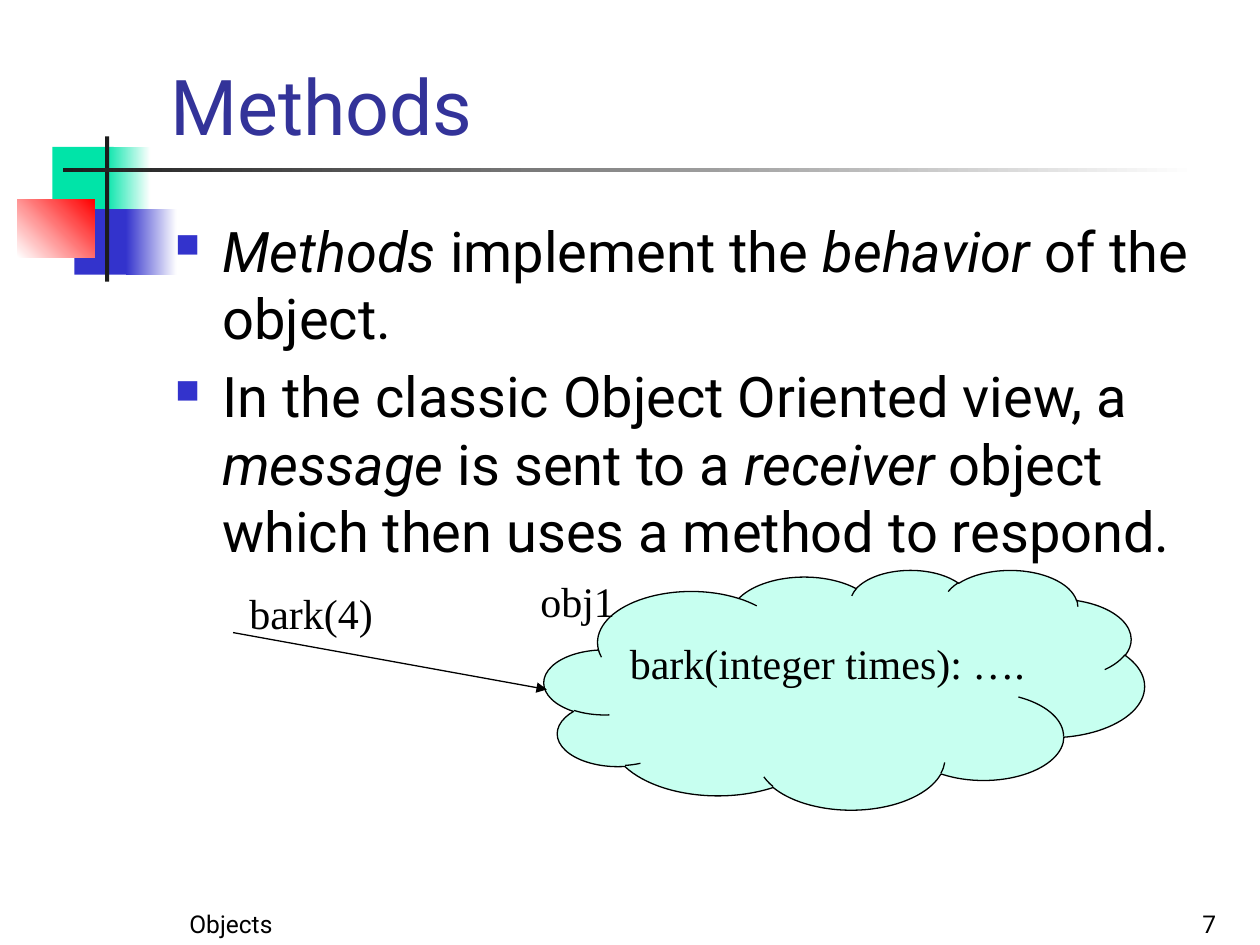
from lxml.etree import SubElement
from pptx import Presentation
from pptx.dml.color import RGBColor
from pptx.enum.shapes import MSO_CONNECTOR as CONN, MSO_SHAPE as SHAPE
from pptx.enum.text import MSO_ANCHOR as ANCHOR, MSO_AUTO_SIZE as AUTO, PP_ALIGN as ALIGN
from pptx.oxml.ns import qn
from pptx.util import Pt

# Content
TITLE = "Methods"
BULLETS = [  # runs of (text, italic)
    [("Methods", True), (" implement the ", False), ("behavior", True),
     (" of the object.", False)],
    [("In the classic Object Oriented view, a ", False), ("message", True),
     (" is sent to a ", False), ("receiver", True),
     (" object which then uses a method to respond.", False)],
]
LABELS = [  # text, box
    ("bark(4)", (135.4, 332, 86, 36)),
    ("bark(integer times): ….", (352.8, 361, 243, 36)),
    ("obj1", (301.7, 325.5, 58, 36)),
]
FOOTERS = [  # text, box, alignment
    ("Objects", (18, 504, 228, 36), ALIGN.CENTER),
    ("7", (552, 504, 150, 36), ALIGN.RIGHT),
]


class Theme:
    sans, serif = "Roboto", "Times New Roman"
    title_size, body_size, label_size, footer_size = 44, 32, 24, 14
    title, text, bullet, cloud = "333399", "000000", "3333CC", "C7FFF0"
    green, blue, red, dark, white = "00E4A8", "3333CC", "FF0000", "1C1C1C", "FFFFFF"


# Corner ornament: box, colours (two make a gradient), angle
ORNAMENT = [
    ((30, 84, 35, 37.5), (Theme.green,), 0),
    ((60, 84, 26, 37.5), (Theme.green, Theme.white), 0),
    ((42.5, 119.5, 33, 37.5), (Theme.blue,), 0),
    ((72, 119.5, 29, 37.5), (Theme.blue, Theme.white), 0),
    ((10, 113.8, 44, 33.2), (Theme.white, Theme.red), 45),
    ((60, 78, 2.4, 83), (Theme.dark,), 0),
    ((36, 96, 648, 2.2), (Theme.dark, Theme.white), 0),
]


def rgb(value):
    return RGBColor.from_string(value)


def add_shape(kind, box, colors, angle=0, line=None):
    s = slide.shapes.add_shape(kind, *map(Pt, box))
    s.shadow.inherit = False
    if len(colors) == 1:
        s.fill.solid()
        s.fill.fore_color.rgb = rgb(colors[0])
    else:
        s.fill.gradient()
        s.fill.gradient_angle = angle
        for stop, color in zip(s.fill.gradient_stops, colors):
            stop.color.rgb = rgb(color)
    if line:
        s.line.color.rgb = rgb(line)
        s.line.width = Pt(0.75)
    else:
        s.line.fill.background()
    return s


def add_run(p, text, font, size, color=Theme.text, italic=False):
    r = p.add_run()
    r.text = text
    r.font.name, r.font.size, r.font.italic = font, Pt(size), italic
    r.font.color.rgb = rgb(color)


def add_textbox(box, wrap=True, anchor=ANCHOR.TOP):
    tf = slide.shapes.add_textbox(*map(Pt, box)).text_frame
    tf.word_wrap, tf.vertical_anchor = wrap, anchor
    return tf


def set_bullet(p):
    pPr = p._p.get_or_add_pPr()
    pPr.set("marL", str(Pt(27)))
    pPr.set("indent", str(-Pt(27)))
    SubElement(SubElement(pPr, qn("a:buClr")), qn("a:srgbClr"), val=Theme.bullet)
    SubElement(pPr, qn("a:buSzPct"), val="60000")
    SubElement(pPr, qn("a:buChar"), char="■")


prs = Presentation()
prs.slide_width, prs.slide_height = Pt(720), Pt(540)
slide = prs.slides.add_slide(prs.slide_layouts[5])

# Ornament and footers
for box, colors, angle in ORNAMENT:
    add_shape(SHAPE.RECTANGLE, box, colors, angle)
for text, box, align in FOOTERS:
    p = add_textbox(box, anchor=ANCHOR.BOTTOM).paragraphs[0]
    p.alignment = align
    add_run(p, text, Theme.sans, Theme.footer_size)

# Title
title = slide.shapes.title
title.left, title.top, title.width, title.height = map(Pt, (90, 0, 613.5, 90))
tf = title.text_frame
tf.vertical_anchor, tf.auto_size = ANCHOR.BOTTOM, AUTO.NONE
tf.paragraphs[0].alignment = ALIGN.LEFT
add_run(tf.paragraphs[0], TITLE, Theme.sans, Theme.title_size, Theme.title)

# Bulleted body
tf = add_textbox((93, 120, 612, 363))
for i, runs in enumerate(BULLETS):
    p = tf.add_paragraph() if i else tf.paragraphs[0]
    p.space_before = Pt(0.2 * Theme.body_size)
    set_bullet(p)
    for text, italic in runs:
        add_run(p, text, Theme.sans, Theme.body_size, italic=italic)

# Receiver cloud and the message arrow
add_shape(SHAPE.CLOUD, (311, 325.5, 343, 137), (Theme.cloud,), line=Theme.text)
arrow = slide.shapes.add_connector(CONN.STRAIGHT, *map(Pt, (133.2, 361.5, 312.5, 394)))
arrow.line.color.rgb = rgb(Theme.text)
arrow.line.width = Pt(0.75)
SubElement(arrow.line._get_or_add_ln(), qn("a:tailEnd"), type="triangle")
SubElement(arrow._element.spPr, qn("a:effectLst"))

# Labels
for text, box in LABELS:
    tf = add_textbox(box, wrap=False)
    tf.auto_size = AUTO.SHAPE_TO_FIT_TEXT
    add_run(tf.paragraphs[0], text, Theme.serif, Theme.label_size)

prs.save("out.pptx")
